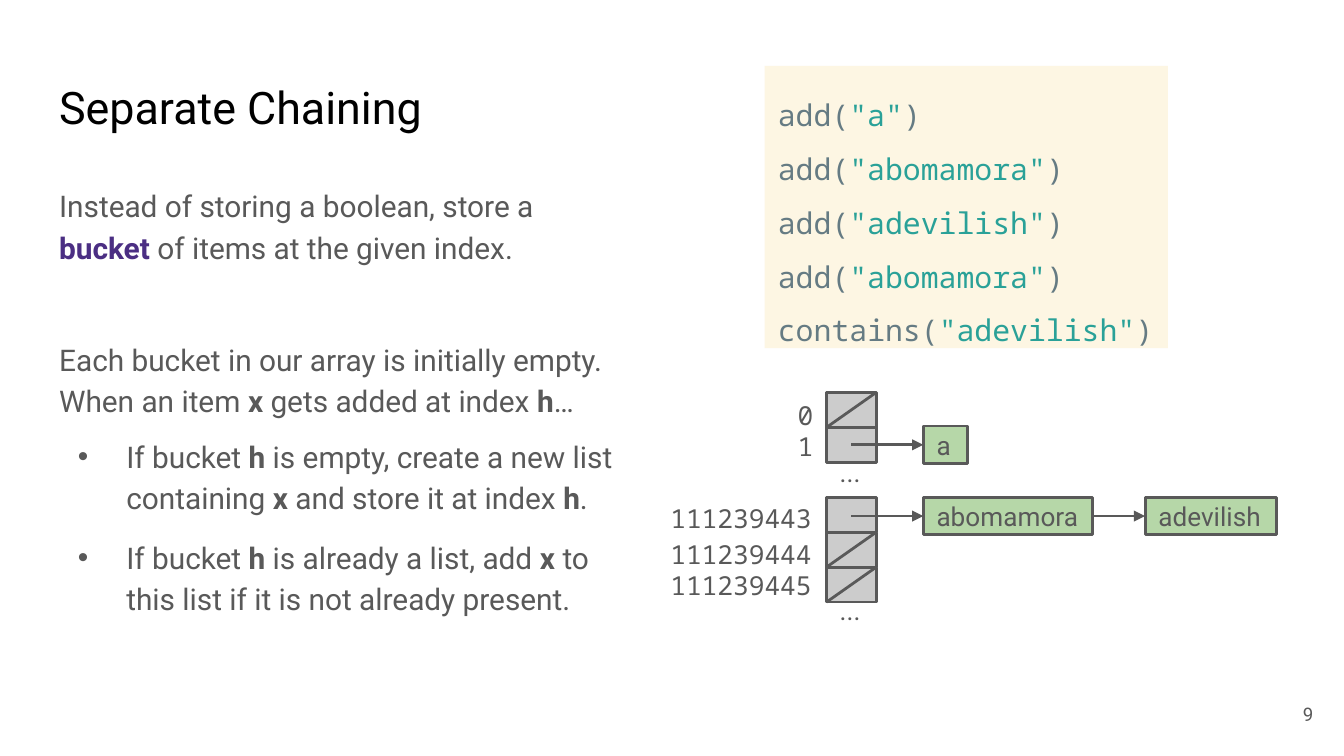
import pptx
import pptx.dml.color
import pptx.enum.shapes
import pptx.enum.text
import pptx.oxml
import pptx.oxml.ns
import pptx.util
from pptx.util import Inches

GRAY, GREEN, SLOT_FILL = "595959", "B6D7A8", "CCCCCC"
CODE_TEXT, CODE_STRING, CODE_FILL = "657B83", "2AA198", "FDF6E3"
PURPLE, BLACK = "4B2E83", "000000"
SANS, MONO = "Roboto", "Noto Sans Mono"
SLOT_LEFT, SLOT_WIDTH, SLOT_HEIGHT = 6.15, 0.37, 0.26
NODE_HEIGHT = 0.28
LEFT = pptx.enum.text.PP_ALIGN.LEFT
RIGHT = pptx.enum.text.PP_ALIGN.RIGHT
TOP = pptx.enum.text.MSO_ANCHOR.TOP
MIDDLE = pptx.enum.text.MSO_ANCHOR.MIDDLE


def color(hex_string):
    return pptx.dml.color.RGBColor.from_string(hex_string)


def add_xml(parent, tag, **attributes):
    element = pptx.oxml.parse_xml(f"<a:{tag} {pptx.oxml.ns.nsdecls('a')}/>")
    for name, value in attributes.items():
        element.set(name, value)
    parent.append(element)
    return element


def set_bullet(paragraph, bullet):
    """Give the paragraph a hanging bullet, or no bullet and no indent."""
    properties = paragraph._p.get_or_add_pPr()
    properties.set("marL", str(Inches(0.5 if bullet else 0)))
    properties.set("indent", str(Inches(-0.36 if bullet else 0)))
    if bullet:
        add_xml(add_xml(properties, "buClr"), "srgbClr", val=GRAY)
        add_xml(properties, "buChar", char="•")
    else:
        add_xml(properties, "buNone")


def write_text(shape, paragraphs, size, font=SANS, text_color=GRAY, anchor=TOP):
    """Each paragraph is (runs, format values); each run is (text, font values)."""
    frame = shape.text_frame
    frame_format = {"word_wrap": True, "vertical_anchor": anchor,
                    "auto_size": pptx.enum.text.MSO_AUTO_SIZE.NONE}
    for side in ("left", "right", "top", "bottom"):
        frame_format[f"margin_{side}"] = Inches(0.1)
    for name, value in frame_format.items():
        setattr(frame, name, value)

    for index, (runs, values) in enumerate(paragraphs):
        paragraph = frame.add_paragraph() if index else frame.paragraphs[0]
        set_bullet(paragraph, values.get("bullet", False))
        paragraph_format = {"alignment": LEFT, "space_before": pptx.util.Pt(0), **values}
        paragraph_format.pop("bullet", None)
        for name, value in paragraph_format.items():
            setattr(paragraph, name, value)
        for text, overrides in runs:
            run = paragraph.add_run()
            run.text = text
            font_format = {"name": font, "size": pptx.util.Pt(size), "bold": False,
                           **overrides}
            run.font.color.rgb = color(font_format.pop("color", text_color))
            for name, value in font_format.items():
                setattr(run.font, name, value)


def emphasize(text, **values):
    """Split text at asterisks; every second part is emphasized."""
    parts = text.split("*")
    return [(part, values if index % 2 else {})
            for index, part in enumerate(parts) if part]


def place(shape, left, top, width, height):
    for name, value in zip(("left", "top", "width", "height"), (left, top, width, height)):
        setattr(shape, name, Inches(value))


def add_label(slide, box, lines, size=14, font=SANS, **values):
    shape = slide.shapes.add_textbox(*map(Inches, box))
    last = len(lines) - 1
    paragraphs = [([(line, {})], {**values, "line_spacing": 1.15 if index < last else 1.0})
                  for index, line in enumerate(lines)]
    write_text(shape, paragraphs, size, font, anchor=MIDDLE)


def add_box(slide, box, fill, outlined=True):
    shape = slide.shapes.add_shape(pptx.enum.shapes.MSO_SHAPE.RECTANGLE, *map(Inches, box))
    shape.shadow.inherit = False
    shape.fill.solid()
    shape.fill.fore_color.rgb = color(fill)
    if outlined:
        shape.line.color.rgb = color(GRAY)
        shape.line.width = pptx.util.Pt(1.5)
    else:
        shape.line.fill.background()
    return shape


def add_line(slide, start, end, arrow=False):
    line = slide.shapes.add_connector(
        pptx.enum.shapes.MSO_CONNECTOR.STRAIGHT, *map(Inches, (*start, *end)))
    line.line.color.rgb = color(GRAY)
    line.line.width = pptx.util.Pt(1.5)
    if arrow:
        add_xml(line.line._get_or_add_ln(), "tailEnd", type="triangle")
    add_xml(line._element.spPr, "effectLst")
    return line


def add_slots(slide, top, empty_flags):
    """Stack array slots; an empty one is crossed by a diagonal."""
    for index, empty in enumerate(empty_flags):
        slot_top = top + index * SLOT_HEIGHT
        add_box(slide, (SLOT_LEFT, slot_top, SLOT_WIDTH, SLOT_HEIGHT), SLOT_FILL)
        if empty:
            add_line(slide, (SLOT_LEFT, slot_top + SLOT_HEIGHT),
                     (SLOT_LEFT + SLOT_WIDTH, slot_top))


def add_chain(slide, top, nodes):
    """Draw a bucket's linked items, starting from the slot's middle."""
    middle = top + NODE_HEIGHT / 2
    start, previous = SLOT_LEFT + SLOT_WIDTH / 2, None
    for text, left, width in nodes:
        node = add_box(slide, (left, top, width, NODE_HEIGHT), GREEN)
        write_text(node, [([(text, {})], {})], 14, anchor=MIDDLE)
        arrow = add_line(slide, (start, middle), (left, middle), arrow=True)
        if previous is not None:
            arrow.begin_connect(previous, 3)
        arrow.end_connect(node, 1)
        start, previous = left + width, node


def add_code(slide, calls):
    panel = add_box(slide, (5.69, 0.49, 3, 2.1), CODE_FILL, outlined=False)
    paragraphs = [(emphasize(f'{function}(*"{word}"*)', color=CODE_STRING),
                   {"line_spacing": 1.5}) for function, word in calls]
    write_text(panel, paragraphs, 16, MONO, CODE_TEXT)


def add_body(slide):
    body = slide.placeholders[1]
    place(body, 0.34, 1.26, 4.32, 3.74)
    items = [
        ("Each bucket in our array is initially empty. When an item *x* gets added "
         "at index *h*…", 38, False),
        ("If bucket *h* is empty, create a new list containing *x* and store it "
         "at index *h*.", 8, True),
        ("If bucket *h* is already a list, add *x* to this list if it is not "
         "already present.", 10, True),
    ]
    intro = emphasize("Instead of storing a boolean, store a *bucket* of items at the "
                      "given index.", bold=True, color=PURPLE)
    paragraphs = [(intro, {"line_spacing": 1.15})]
    for text, space, bullet in items:
        paragraphs.append((emphasize(text, bold=True), {
            "line_spacing": 1.15, "space_before": pptx.util.Pt(space), "bullet": bullet}))
    write_text(body, paragraphs, 16)


def main():
    # Widescreen slide, 16 to 9
    presentation = pptx.Presentation()
    presentation.slide_width = Inches(10)
    presentation.slide_height = Inches(10 * 9 / 16)
    slide = presentation.slides.add_slide(presentation.slide_layouts[1])

    # Title, explanation and slide number
    place(slide.shapes.title, 0.34, 0.49, 4.32, 0.63)
    write_text(slide.shapes.title, [([("Separate Chaining", {})], {})], 24, text_color=BLACK)
    add_body(slide)
    add_label(slide, (9.27, 5.1, 0.6, 0.43), ["9"], size=10, alignment=RIGHT)

    # Array of buckets with index labels
    add_slots(slide, 2.92, [True, False])
    add_slots(slide, 3.7, [False, True, True])
    add_label(slide, (5.78, 2.92, 0.37, 0.53), ["0", "1"], font=MONO, alignment=RIGHT)
    add_label(slide, (4.88, 3.7, 1.26, 0.77), ["111239443", "111239444", "111239445"],
              font=MONO, alignment=RIGHT)
    for top in (3.38, 4.41):
        add_label(slide, (SLOT_LEFT, top, SLOT_WIDTH, SLOT_HEIGHT), ["..."])

    # Linked items in the buckets
    add_chain(slide, 3.17, [("a", 6.87, 0.33)])
    add_chain(slide, 3.7, [("abomamora", 6.87, 1.26), ("adevilish", 8.52, 0.98)])

    # Code panel
    add_code(slide, [("add", "a"), ("add", "abomamora"), ("add", "adevilish"),
                     ("add", "abomamora"), ("contains", "adevilish")])
    presentation.save("out.pptx")


if __name__ == "__main__":
    main()
